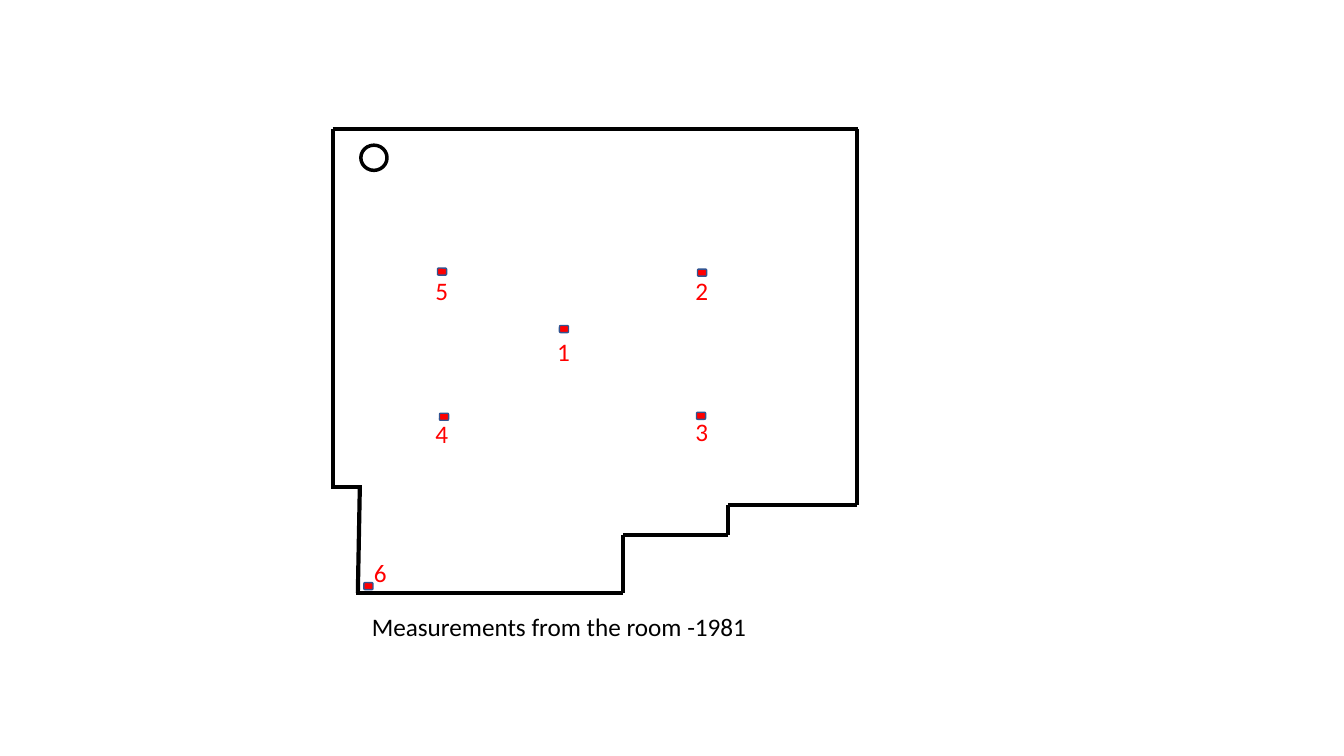
from dataclasses import dataclass
from itertools import pairwise

from lxml.etree import SubElement
from pptx import Presentation
from pptx.dml.color import RGBColor
from pptx.enum.shapes import MSO_CONNECTOR, MSO_SHAPE
from pptx.enum.text import MSO_AUTO_SIZE
from pptx.oxml.ns import qn
from pptx.util import Inches, Pt

COLUMNS, ROWS = 133.33, 75
CELL = Inches(0.1)
COLORS = {"ink": "000000", "paper": "FFFFFF", "point": "FF0000", "point_edge": "325491"}
MARKER_SIZE = (0.9, 0.7)
LABEL_SIZE = (3.3, 4)


@dataclass(frozen=True)
class Corner:
    """A room corner; overhang lengthens the horizontal wall that meets it."""
    column: float
    row: float
    overhang: float = 0


@dataclass(frozen=True)
class Point:
    """A numbered measuring point: top-left of its marker and of its label."""
    number: int
    marker: tuple[float, float]
    label: tuple[float, float]


CORNERS = [
    Corner(33, 12.8), Corner(85, 12.8, 0.1), Corner(85, 50.1), Corner(72.2, 50.1),
    Corner(72.2, 53.1), Corner(61.8, 53.1), Corner(61.8, 58.8),
    Corner(35.5, 58.8, -0.2), Corner(35.7, 48.3, 0.2), Corner(33, 48.3, -0.2),
]
POINTS = [
    Point(1, (55.5, 32.3), (54.3, 32.9)),
    Point(2, (69.2, 26.7), (68, 26.8)),
    Point(3, (69.1, 40.9), (68, 40.8)),
    Point(4, (43.6, 41), (42.2, 41)),
    Point(5, (43.4, 26.6), (42.2, 26.8)),
    Point(6, (36.1, 57.8), (36.1, 54.8)),
]


def cells(*counts: float) -> list[int]:
    """Turn counts of grid cells into slide lengths."""
    return [round(count * CELL) for count in counts]


def color(name: str) -> RGBColor:
    """Look up a named colour."""
    return RGBColor.from_string(COLORS[name])


def add_wall(slide, start: Corner, end: Corner) -> None:
    """Draw one wall between two corners."""
    reach = 1 if start.row == end.row else 0
    ends = cells(start.column + reach * start.overhang, start.row,
                 end.column + reach * end.overhang, end.row)
    wall = slide.shapes.add_connector(MSO_CONNECTOR.STRAIGHT, *ends)
    wall.line.color.rgb = color("ink")
    wall.line.width = Pt(3)
    SubElement(wall._element.spPr, qn("a:effectLst"))


def add_mark(slide, kind: MSO_SHAPE, place: tuple[float, float], size: tuple[float, float],
             fill: str, edge: str, width: float) -> None:
    """Draw a small outlined shape."""
    mark = slide.shapes.add_shape(kind, *cells(*place, *size))
    mark.shadow.inherit = False
    mark.fill.solid()
    mark.fill.fore_color.rgb = color(fill)
    mark.line.color.rgb = color(edge)
    mark.line.width = Pt(width)


def add_text(slide, text: str, place: tuple[float, float], size: tuple[float, float],
             ink: str) -> None:
    """Write one unwrapped line of text."""
    box = slide.shapes.add_textbox(*cells(*place, *size))
    box.text_frame.word_wrap = False
    box.text_frame.auto_size = MSO_AUTO_SIZE.SHAPE_TO_FIT_TEXT
    para = box.text_frame.paragraphs[0]
    para.text = text
    para.font.name = "Calibri"
    para.font.size = Pt(18)
    para.font.color.rgb = color(ink)


def main() -> None:
    """Build the room plan and save it."""
    deck = Presentation()
    deck.slide_width, deck.slide_height = cells(COLUMNS, ROWS)
    slide = deck.slides.add_slide(deck.slide_layouts[6])
    for start, end in pairwise(CORNERS + CORNERS[:1]):
        add_wall(slide, start, end)
    add_mark(slide, MSO_SHAPE.OVAL, (35.8, 14.4), (2.6, 2.5), "paper", "ink", 2.5)
    for point in POINTS:
        add_text(slide, str(point.number), point.label, LABEL_SIZE, "point")
        add_mark(slide, MSO_SHAPE.ROUNDED_RECTANGLE, point.marker, MARKER_SIZE,
                 "point", "point_edge", 1)
    add_text(slide, "Measurements from the room -1981", (35.9, 60.2), (39.6, 4), "ink")
    deck.save("out.pptx")


main()
